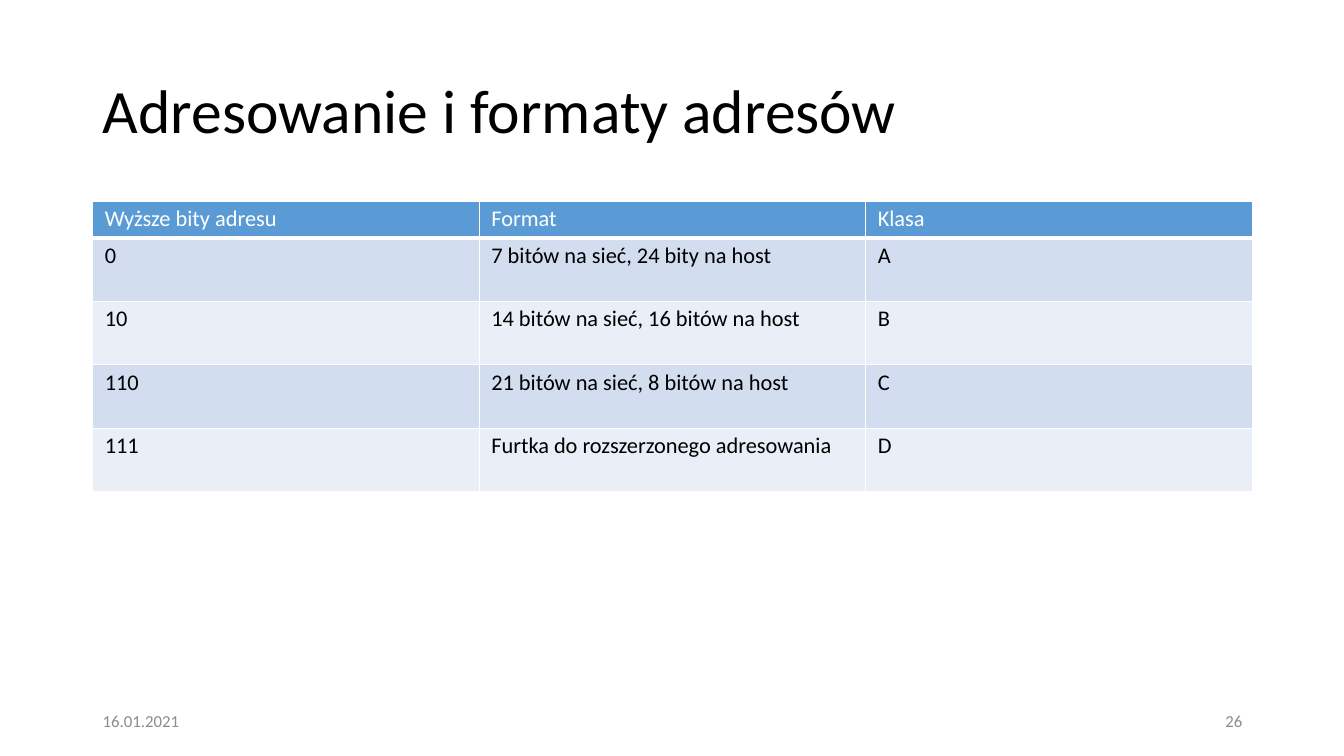
from dataclasses import dataclass

from lxml import etree
from pptx import Presentation
from pptx.dml.color import RGBColor
from pptx.enum.text import MSO_ANCHOR, PP_ALIGN
from pptx.oxml.ns import qn
from pptx.util import Inches, Pt

LEFT, RIGHT = PP_ALIGN.LEFT, PP_ALIGN.RIGHT
MIDDLE = MSO_ANCHOR.MIDDLE


@dataclass
class Theme:
    font: str = "Calibri"
    ink: str = "000000"
    white: str = "FFFFFF"
    head: str = "5B9BD5"
    bands: tuple = ("D2DEEF", "EAEFF7")
    grey: str = "8C8C8C"
    title: int = 44
    body: int = 16
    small: int = 12


theme = Theme()


def style(frame, size, color, align=LEFT):
    for para in frame.paragraphs:
        para.alignment = align
        for run in para.runs:
            run.font.name = theme.font
            run.font.size = Pt(size)
            run.font.bold = False
            run.font.color.rgb = RGBColor.from_string(color)


def border(cell, widths):
    props = cell._tc.get_or_add_tcPr()
    for i, (side, width) in enumerate(widths.items()):
        line = etree.Element(qn("a:" + side), w=str(Pt(width)))
        fill = etree.SubElement(line, qn("a:solidFill"))
        etree.SubElement(fill, qn("a:srgbClr"), val=theme.white)
        props.insert(i, line)


# Slide
prs = Presentation()
prs.slide_width, prs.slide_height = Inches(13.33), Inches(7.5)
slide = prs.slides.add_slide(prs.slide_layouts[5])
left, width = 0.92, 11.5

# Title
title = slide.shapes.title
title.left, title.top = Inches(left), Inches(0.4)
title.width, title.height = Inches(width), Inches(1.45)
title.text_frame.text = "Adresowanie i formaty adresów"
title.text_frame.vertical_anchor = MIDDLE
title.text_frame.paragraphs[0].line_spacing = 0.9
style(title.text_frame, theme.title, theme.ink)

# Table of address classes
rows = [
    ("Wyższe bity adresu", "Format", "Klasa"),
    ("0", "7 bitów na sieć, 24 bity na host", "A"),
    ("10", "14 bitów na sieć, 16 bitów na host", "B"),
    ("110", "21 bitów na sieć, 8 bitów na host", "C"),
    ("111", "Furtka do rozszerzonego adresowania", "D"),
]
table = slide.shapes.add_table(
    len(rows), len(rows[0]), Inches(left), Inches(2), Inches(width), Inches(2.88)
).table
for r, row in enumerate(rows):
    head = r == 0
    table.rows[r].height = Inches(0.36 if head else 0.63)
    back = theme.head if head else theme.bands[(r - 1) % 2]
    for c, text in enumerate(row):
        cell = table.cell(r, c)
        cell.text_frame.text = text
        cell.margin_left = cell.margin_right = Inches(0.12)
        cell.margin_top = cell.margin_bottom = Inches(0.04)
        cell.fill.solid()
        cell.fill.fore_color.rgb = RGBColor.from_string(back)
        style(cell.text_frame, theme.body, theme.white if head else theme.ink)
        border(cell, {"lnL": 1, "lnR": 1, "lnT": 3 if r == 1 else 1,
                      "lnB": 3 if head else 1})

# Footer: date and page number
for x, text, align in ((left, "16.01.2021", LEFT), (9.42, "26", RIGHT)):
    foot = slide.shapes.add_textbox(Inches(x), Inches(6.95), Inches(3), Inches(0.4))
    foot.text_frame.word_wrap = True
    foot.text_frame.vertical_anchor = MIDDLE
    foot.text_frame.text = text
    style(foot.text_frame, theme.small, theme.grey, align)

prs.save("out.pptx")
